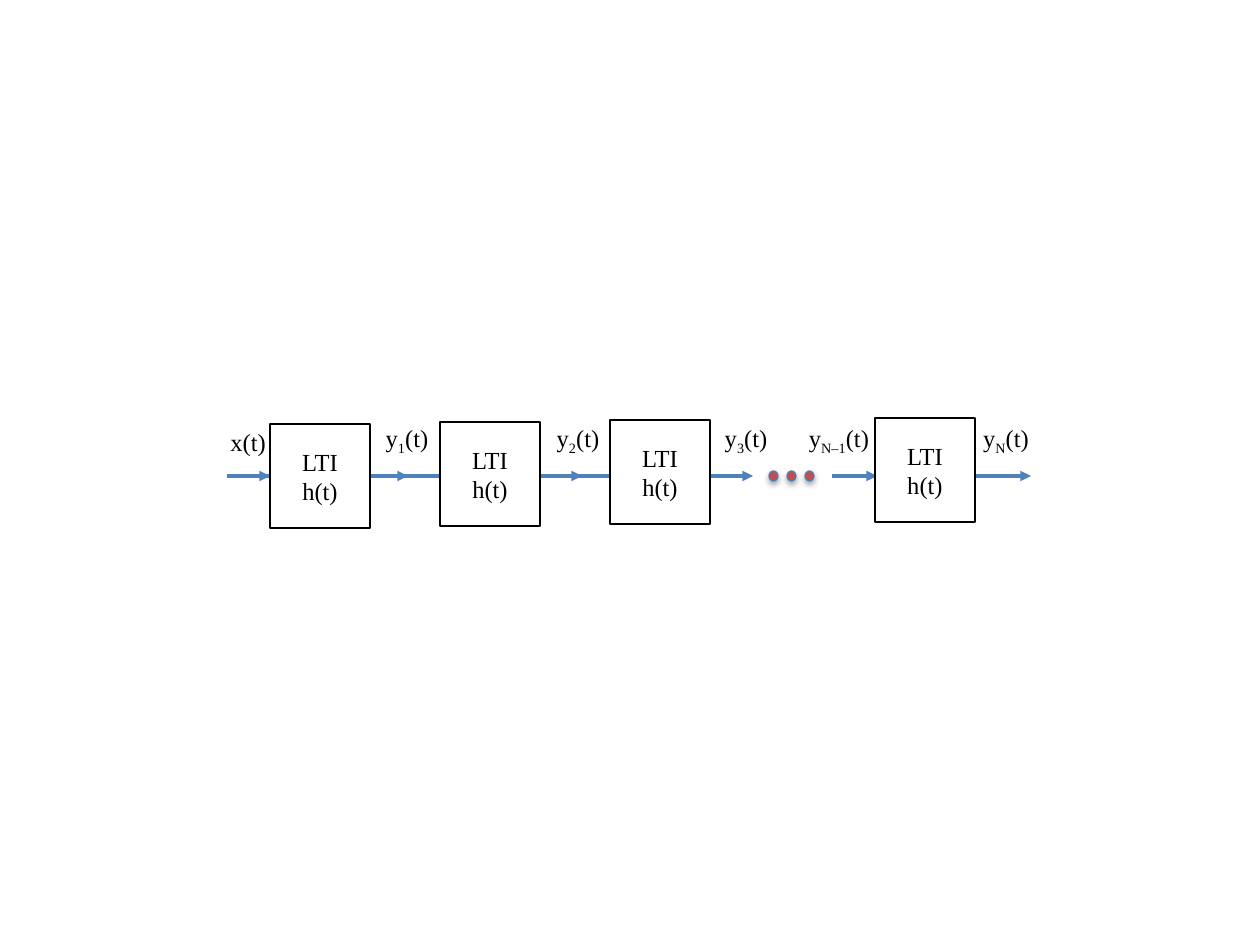
from pptx import Presentation
from pptx.dml.color import RGBColor
from pptx.enum.shapes import MSO_CONNECTOR, MSO_SHAPE
from pptx.enum.text import MSO_ANCHOR, MSO_AUTO_SIZE, PP_ALIGN
from pptx.oxml import parse_xml
from pptx.oxml.ns import nsdecls, qn
from pptx.util import Emu, Inches, Pt

BLACK = RGBColor(0x00, 0x00, 0x00)
WHITE = RGBColor(0xFF, 0xFF, 0xFF)
BLUE = RGBColor(0x4F, 0x81, 0xBD)
DOT_LINE = RGBColor(0x4B, 0x7E, 0xBC)
RED = RGBColor(0xC0, 0x50, 0x4D)


def px(n):
    return Emu(round(n * 914400 / 126))


class Diagram:
    font = "Times New Roman"
    size = Pt(14)

    def __init__(self, slide):
        self.s = slide

    def run(self, p, text, subscript=False):
        r = p.add_run()
        r.text = text
        r.font.name, r.font.size = self.font, self.size
        r.font.color.rgb = BLACK
        if subscript:
            r._r.get_or_add_rPr().set("baseline", "-25000")

    def shape(self, kind, x, y, w, h, fill, line):
        sp = self.s.shapes.add_shape(kind, px(x), px(y), px(w), px(h))
        sp.shadow.inherit = False
        sp.fill.solid()
        sp.fill.fore_color.rgb = fill
        sp.line.color.rgb = line
        sp.line.width = Pt(0.75)
        return sp

    def block(self, x, y, w, h, lines):
        sp = self.shape(MSO_SHAPE.RECTANGLE, x, y, w, h, WHITE, BLACK)
        tf = sp.text_frame
        tf.word_wrap = True
        tf.vertical_anchor = MSO_ANCHOR.MIDDLE
        for i, text in enumerate(lines):
            p = tf.add_paragraph() if i else tf.paragraphs[0]
            p.alignment = PP_ALIGN.CENTER
            self.run(p, text)
        return sp

    def dot(self, x, y, w, h):
        sp = self.shape(MSO_SHAPE.OVAL, x, y, w, h, RED, DOT_LINE)
        sp._element.spPr.find(qn("a:effectLst")).append(parse_xml(
            f'<a:outerShdw {nsdecls("a")} blurRad="40000" dist="23000" dir="5400000" '
            'rotWithShape="0"><a:srgbClr val="000000"><a:alpha val="35000"/>'
            '</a:srgbClr></a:outerShdw>'))

    def arrow(self, x1, x2, y):
        c = self.s.shapes.add_connector(
            MSO_CONNECTOR.STRAIGHT, px(x1), px(y), px(x2), px(y))
        c.line.color.rgb = BLUE
        c.line.width = Pt(2)
        spPr = c._element.spPr
        spPr.find(qn("a:ln")).append(
            parse_xml(f'<a:tailEnd {nsdecls("a")} type="triangle"/>'))
        spPr.append(parse_xml(f'<a:effectLst {nsdecls("a")}/>'))
        return c

    def label(self, x, y, w, h, name, index=""):
        tf = self.s.shapes.add_textbox(px(x), px(y), px(w), px(h)).text_frame
        tf.word_wrap = False
        tf.auto_size = MSO_AUTO_SIZE.SHAPE_TO_FIT_TEXT
        p = tf.paragraphs[0]
        if index:
            p.alignment = PP_ALIGN.CENTER
            self.run(p, name)
            self.run(p, index, subscript=True)
            self.run(p, "(t)")
        else:
            self.run(p, name + "(t)")


def main():
    prs = Presentation()
    prs.slide_width, prs.slide_height = Inches(10), Inches(7.5)
    d = Diagram(prs.slides.add_slide(prs.slide_layouts[6]))
    axis = 476

    # Signal line, partly hidden behind the blocks
    for x1, x2 in ((382, 582), (257, 408), (554, 753), (832, 1031), (834, 877)):
        d.arrow(x1, x2, axis)
    x_in = d.arrow(227, 270, axis)

    # LTI blocks, each a little higher than the one before
    blocks = [d.block(x, 424 - 2 * i, 100, 104, ("LTI", "h(t)"))
              for i, x in enumerate((270, 440, 610, 875))]
    x_in.end_connect(blocks[0], 1)

    # Dots for the blocks left out
    for i in range(3):
        d.dot(769 + 18 * i, 471, 9, 10)

    # Signal names
    d.label(218, 421, 66, 40, "x")
    for x, w, index in ((373, 68, "1"), (544, 68, "2"), (712, 68, "3"),
                        (796, 86, "N–1"), (970, 72, "N")):
        d.label(x, 417, w, 47, "y", index)

    prs.save("out.pptx")


if __name__ == "__main__":
    main()
